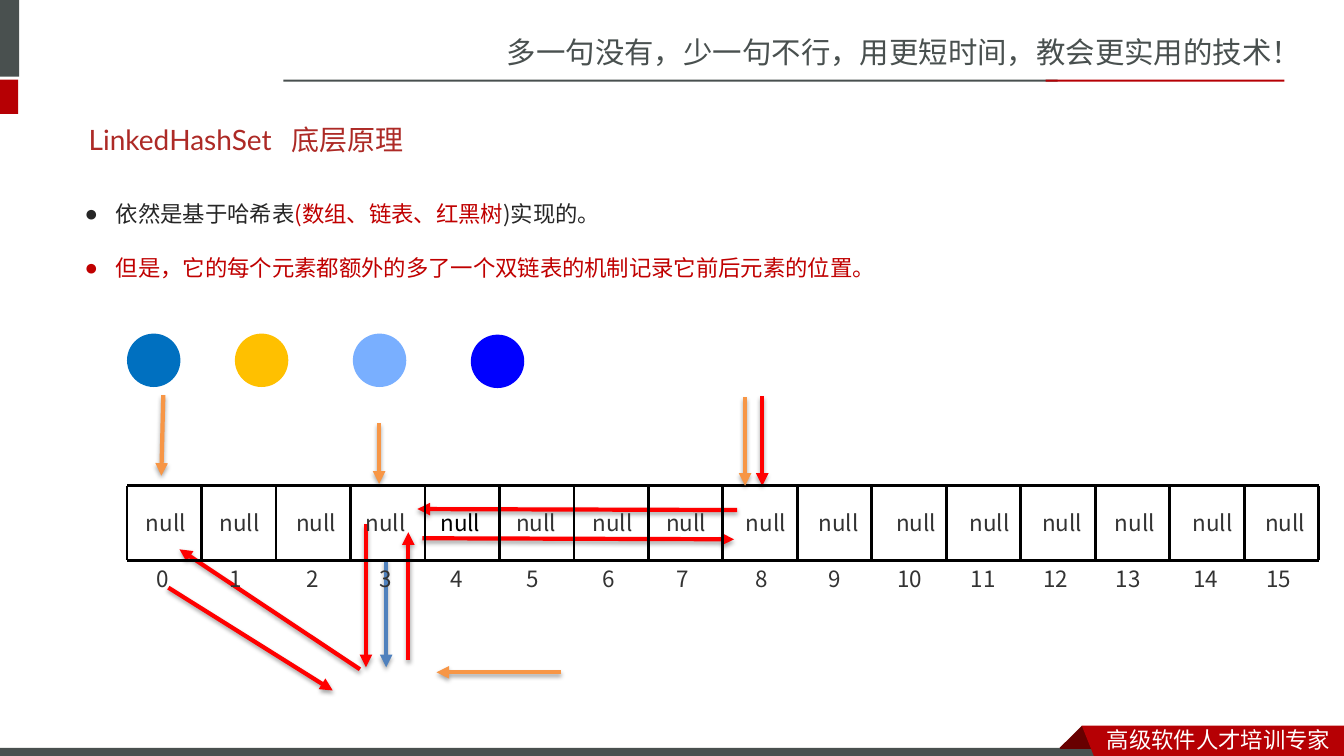
import pptx
import pptx.util
import pptx.dml.color
import pptx.enum.shapes
import pptx.enum.text
import pptx.oxml
import pptx.oxml.ns

Inches, Pt = pptx.util.Inches, pptx.util.Pt
RGB = pptx.dml.color.RGBColor.from_string
SHAPE = pptx.enum.shapes.MSO_SHAPE
ANCHOR = pptx.enum.text.MSO_ANCHOR
NS = pptx.oxml.ns.nsdecls("a")
C = {"slate": "49504F", "crimson": "B60004", "maroon": "680000", "white": "FFFFFF",
     "title": "AD2A26", "ink": "262626", "accent": "C00000", "label": "333333",
     "black": "000000", "red": "FF0000", "orange": "F79646", "steel": "4F81BD",
     "ocean": "0070C0", "gold": "FFC000", "sky": "79AFFF", "blue": "0000FF"}
CJK = "Noto Sans CJK SC"
ROW_TOP, ROW_BOTTOM, ROW_LEFT, ROW_RIGHT = 4.82, 5.56, 1.26, 13.08
SHADOW = ('<a:outerShdw blurRad="40000" dist="23000" dir="5400000" rotWithShape="0">'
          '<a:srgbClr val="000000"><a:alpha val="35000"/></a:srgbClr></a:outerShdw>')


def write(p, text, color, **fmt):
    r = p.add_run()
    r.text = text
    for key, value in fmt.items():
        setattr(r.font, key, value)
    r.font.color.rgb = RGB(C[color])
    r.font._element.get_or_add_latin().addnext(
        pptx.oxml.parse_xml(f'<a:ea {NS} typeface="{CJK}"/>'))


def draw_line(x1, y1, x2, y2, color, width, arrow):
    cn = s.shapes.add_connector(pptx.enum.shapes.MSO_CONNECTOR.STRAIGHT,
                                Inches(x1), Inches(y1), Inches(x2), Inches(y2))
    cn.line.color.rgb = RGB(C[color])
    cn.line.width = Pt(width)
    if arrow:
        cn.line._get_or_add_ln().append(pptx.oxml.parse_xml(f'<a:tailEnd {NS} type="triangle"/>'))
    effect = SHADOW if arrow else ""
    cn._element.spPr.append(pptx.oxml.parse_xml(f"<a:effectLst {NS}>{effect}</a:effectLst>"))


prs = pptx.Presentation()
prs.slide_width, prs.slide_height = Inches(13.33), Inches(7.5)
s = prs.slides.add_slide(prs.slide_layouts[1])

blocks = [
    (SHAPE.RECTANGLE, 0, 0, 0.19, 0.76, "slate"),
    (SHAPE.RECTANGLE, 0, 0.79, 0.18, 0.34, "crimson"),
    (SHAPE.RECTANGLE, 2.81, 0.79, 7.68, 0.02, "slate"),
    (SHAPE.RECTANGLE, 10.37, 0.79, 2.37, 0.02, "crimson"),
    (SHAPE.RECTANGLE, 0, 7.42, 10.99, 0.08, "slate"),
    (SHAPE.OVAL, 3.5, 3.31, 0.53, 0.53, "sky"),
    (SHAPE.OVAL, 1.26, 3.31, 0.53, 0.53, "ocean"),
    (SHAPE.OVAL, 4.67, 3.32, 0.53, 0.53, "blue"),
    (SHAPE.OVAL, 2.33, 3.31, 0.53, 0.53, "gold"),
]
ribbon = [
    ([(10.73, 7.2), (10.95, 7.42), (10.94, 7.43), (10.52, 7.43), (10.51, 7.42)], "maroon"),
    ([(10.73, 7.2), (13.33, 7.2), (13.33, 7.5), (10.85, 7.5)], "crimson"),
]
filled = []
for kind, x, y, w, h, color in blocks:
    filled.append((s.shapes.add_shape(kind, Inches(x), Inches(y), Inches(w), Inches(h)), color))
for points, color in ribbon:
    fb = s.shapes.build_freeform(Inches(points[0][0]), Inches(points[0][1]))
    fb.add_line_segments([(Inches(x), Inches(y)) for x, y in points[1:]])
    filled.append((fb.convert_to_shape(), color))
for sp, color in filled:
    sp.shadow.inherit = False
    sp.fill.solid()
    sp.fill.fore_color.rgb = RGB(C[color])
    sp.line.fill.background()

title, body = s.shapes.title, s.placeholders[1]
for sp, x, y, w, h in [(title, 0.78, 1.1, 2.34, 0.57), (body, 0.74, 1.67, 9.08, 1.65)]:
    sp.left, sp.top, sp.width, sp.height = Inches(x), Inches(y), Inches(w), Inches(h)
    sp.text_frame.auto_size = pptx.enum.text.MSO_AUTO_SIZE.NONE
title.text_frame.vertical_anchor = ANCHOR.MIDDLE
p = title.text_frame.paragraphs[0]
p.alignment = pptx.enum.text.PP_ALIGN.LEFT
write(p, "LinkedHashSet", "title", size=Pt(20), name="Lato")

bullets = [
    [("依然是基于哈希表", "ink"), ("(数组、链表、红黑树", "accent"), (")实现的。", "ink")],
    [("但是，它的每个元素都额外的多了一个双链表的机制记录它前后元素的位置。", "accent")],
]
tf = body.text_frame
for i, runs in enumerate(bullets):
    p = tf.add_paragraph() if i else tf.paragraphs[0]
    pPr = p._p.get_or_add_pPr()
    pPr.set("marL", str(Inches(0.31)))
    pPr.set("indent", str(Inches(-0.31)))
    pPr.append(pptx.oxml.parse_xml(f'<a:buChar {NS} char="●"/>'))
    p.line_spacing, p.space_before = Pt(38.5), Pt(0)
    for text, color in runs:
        write(p, text, color, size=Pt(16), name="Noto Sans CJK JP")

for link in [
    (3.83, 5.56, 3.83, 6.62, "steel"), (7.31, 5.06, 4.14, 5.05, "red"),
    (4.19, 5.34, 7.28, 5.35, "red"), (7.56, 3.93, 7.56, 4.82, "red"),
    (3.63, 5.2, 3.63, 6.62, "red"), (3.57, 6.64, 1.78, 5.45, "red"),
    (4.05, 6.55, 4.05, 5.28, "red"), (1.67, 5.83, 3.3, 6.85, "red"),
]:
    draw_line(*link, 3, True)

labels = [
    ("多一句没有，少一句不行，用更短时间，教会更实用的技术！", 4.93, 0.28, 8.4, 0.47, 21, "slate", CJK),
    ("高级软件人才培训专家", 10.88, 7.15, 2.45, 0.37, 16, "white", CJK),
    ("底层原理", 2.79, 1.1, 1.42, 0.57, 20, "title", "Lato"),
]
null_lefts = [1.35, 2.08, 2.84, 3.53, 4.27, 5.02, 5.78, 6.51,
              7.3, 8.02, 8.79, 9.52, 10.24, 10.96, 11.73, 12.45]
for i, x in enumerate(null_lefts):
    index_left = x + (0.14 if i == 3 else 0.1 if i < 10 else 0.01)
    labels.append(("null", x, 5, 0.6, 0.37, 16, "black" if i == 4 else "label", CJK))
    labels.append((str(i), index_left, 5.55, 0.46, 0.37, 16, "label", CJK))
for text, x, y, w, h, size, color, font in labels:
    tf = s.shapes.add_textbox(Inches(x), Inches(y), Inches(w), Inches(h)).text_frame
    tf.word_wrap = True
    tf.vertical_anchor = ANCHOR.MIDDLE
    write(tf.paragraphs[0], text, color, size=Pt(size), name=font)

for y in (ROW_TOP, ROW_BOTTOM):
    draw_line(ROW_LEFT, y, ROW_RIGHT, y, "black", 2, False)
step = (ROW_RIGHT - ROW_LEFT) / len(null_lefts)
for i in range(len(null_lefts) + 1):
    x = ROW_LEFT + i * step
    draw_line(x, ROW_TOP, x, ROW_BOTTOM, "black", 2, False)

for pointer in [(7.39, 3.94, 7.39, 4.82), (3.76, 4.2, 3.76, 4.8),
                (5.56, 6.67, 4.33, 6.67), (1.62, 3.92, 1.6, 4.72)]:
    draw_line(*pointer, "orange", 3, True)

prs.save("out.pptx")
